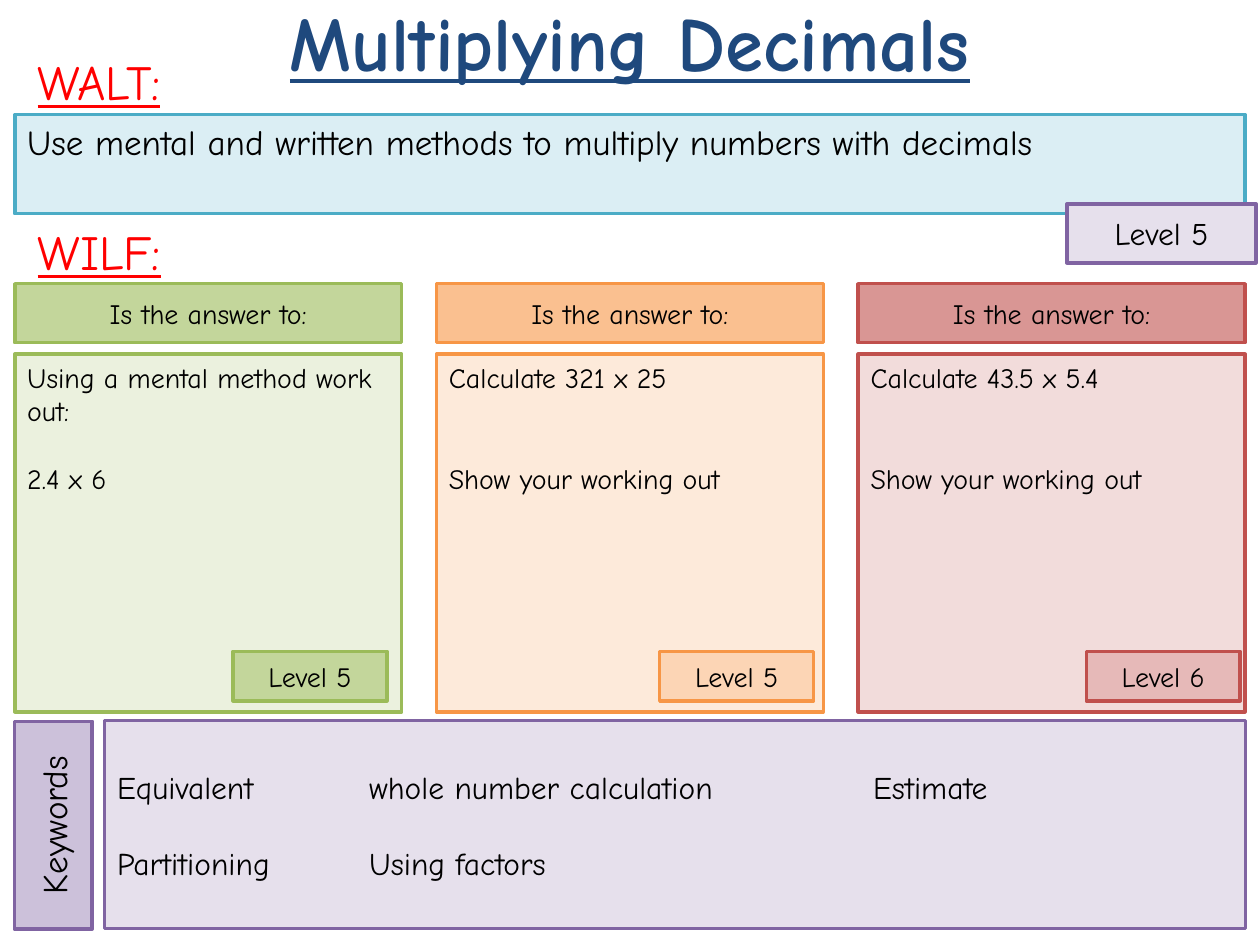
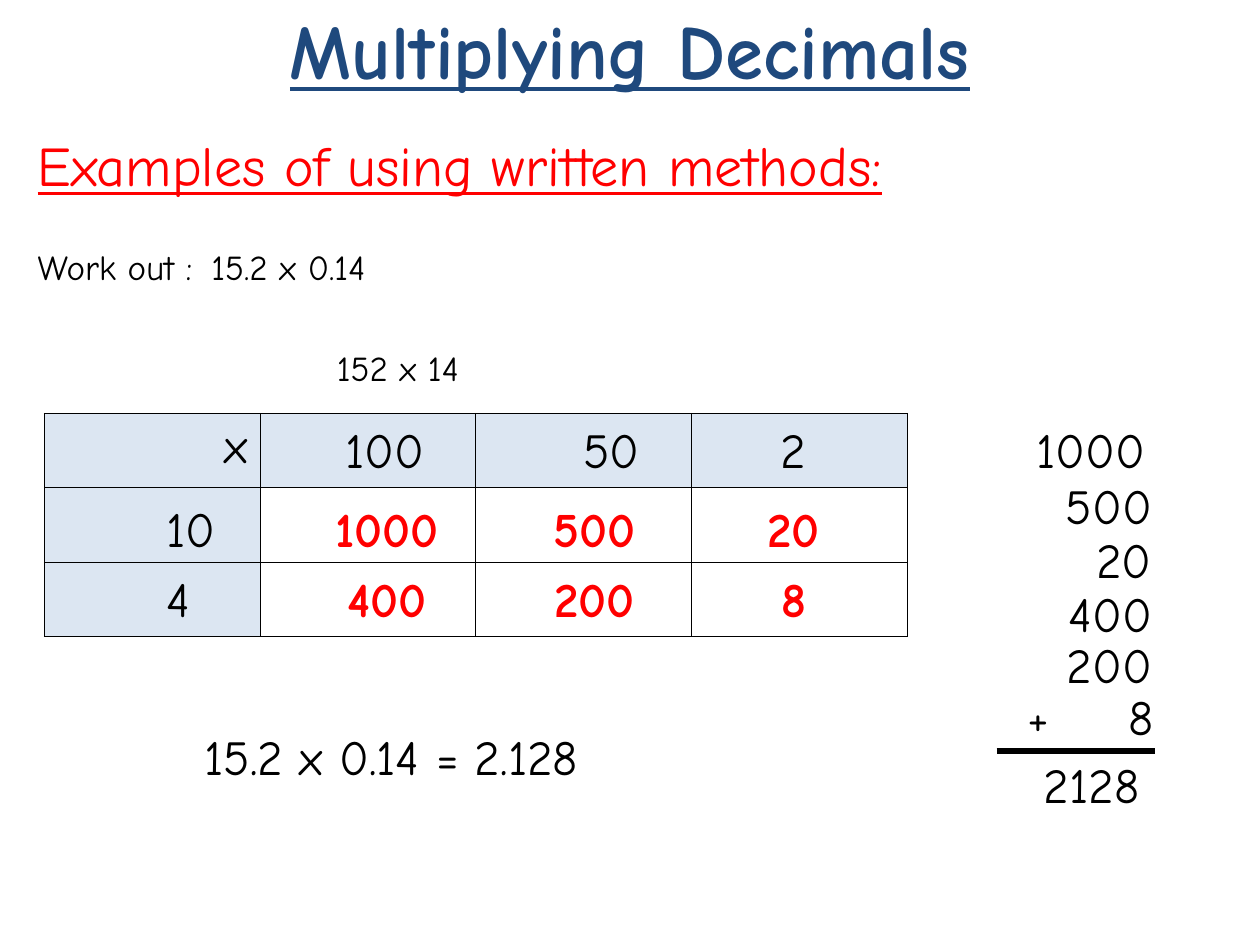
from dataclasses import dataclass, replace

from lxml import etree
from pptx import Presentation
from pptx.dml.color import RGBColor
from pptx.enum.shapes import MSO_CONNECTOR, MSO_SHAPE
from pptx.enum.text import MSO_ANCHOR, PP_ALIGN
from pptx.oxml.ns import qn
from pptx.util import Cm, Pt

LEFT, CENTER, RIGHT = PP_ALIGN.LEFT, PP_ALIGN.CENTER, PP_ALIGN.RIGHT
TOP, MIDDLE = MSO_ANCHOR.TOP, MSO_ANCHOR.MIDDLE
RECTANGLE, STRAIGHT = MSO_SHAPE.RECTANGLE, MSO_CONNECTOR.STRAIGHT

FONT = "Comic Neue"
BLACK, RED, NAVY = "000000", "FF0000", "1F497D"
PURPLE, PALE_PURPLE, MID_PURPLE = "8064A2", "E6E0EC", "CCC1DA"
TEAL, PALE_TEAL, PALE_BLUE = "4BACC6", "DBEEF4", "DCE6F2"


@dataclass(frozen=True)
class Box:
    left: float
    top: float
    width: float
    height: float


@dataclass(frozen=True)
class Line:
    text: str
    size: float
    color: str = BLACK
    bold: bool = False
    underline: bool = False
    align: PP_ALIGN = LEFT
    gap: float = 0
    spacing: float = 1
    indent: float = 0
    tabs: tuple[float, ...] = ()


@dataclass(frozen=True)
class Question:
    line: str
    header_fill: str
    body_fill: str
    level_fill: str
    level: str
    task: str
    prompt: str
    gap: float


QUESTIONS = [
    Question("9BBB59", "C3D69B", "EBF1DE", "C3D69B", "Level 5",
             "Using a mental method work out:", "2.4 x 6", 19.2),
    Question("F79646", "FAC090", "FDEADA", "FCD5B5", "Level 5",
             "Calculate 321 x 25", "Show your working out", 38.4),
    Question("C0504D", "D99694", "F2DCDB", "E6B9B8", "Level 6",
             "Calculate 43.5 x 5.4", "Show your working out", 38.4),
]
TITLE_BOX = Box(0, -0.08, 25.4, 1.8)
TITLE = Line("Multiplying Decimals", 44, NAVY, True, True, CENTER)
NUMBER = Line("", 28)
NUMBER_HEIGHT = 1.45
GRID = Box(0.89, 8.33, 17.4, 4.5)
GRID_LABELS = [("100", 6.71, 8.33), ("50", 11.51, 8.33), ("2", 15.49, 8.33),
               ("10", 3.1, 9.93), ("4", 3.1, 11.33)]
PRODUCT_LEFTS = [6.3, 10.49, 14.5]
PRODUCT_ROWS = [(9.93, ("1000", "500", "20")), (11.33, ("400", "200", "8"))]
COLUMN_SUM = [("1000", 23.34, 8.33), ("500", 23.47, 9.47), ("20", 23.47, 10.54),
              ("400", 23.47, 11.63), ("200", 23.47, 12.67), ("2128", 23.22, 15.09)]


def rgb(color: str) -> RGBColor:
    return RGBColor.from_string(color)


def lengths(box: Box) -> tuple[Cm, Cm, Cm, Cm]:
    return Cm(box.left), Cm(box.top), Cm(box.width), Cm(box.height)


def write(text_frame, lines: list[Line], anchor: MSO_ANCHOR = TOP) -> None:
    text_frame.word_wrap = True
    text_frame.vertical_anchor = anchor
    text_frame.text = "\n".join(line.text for line in lines)
    for paragraph, line in zip(text_frame.paragraphs, lines):
        properties = paragraph._p.get_or_add_pPr()
        if line.indent:
            properties.set("marL", str(Cm(line.indent)))
        if line.tabs:
            tab_list = etree.SubElement(properties, qn("a:tabLst"))
            for position in line.tabs:
                etree.SubElement(tab_list, qn("a:tab"), pos=str(Cm(position)), algn="l")
        paragraph.alignment = line.align
        if line.gap:
            paragraph.space_before = Pt(line.gap)
        paragraph.line_spacing = line.spacing
        for run in paragraph.runs:
            run.font.name = FONT
            run.font.size = Pt(line.size)
            run.font.bold = line.bold
            run.font.underline = line.underline
            run.font.color.rgb = rgb(line.color)


def add_text(slide, box: Box, *lines: Line, anchor: MSO_ANCHOR = TOP) -> None:
    write(slide.shapes.add_textbox(*lengths(box)).text_frame, list(lines), anchor)


def add_panel(slide, box: Box, fill: str, border: str, *lines: Line,
              anchor: MSO_ANCHOR = MIDDLE, rotation: float = 0) -> None:
    shape = slide.shapes.add_shape(RECTANGLE, *lengths(box))
    shape.shadow.inherit = False
    shape.rotation = rotation
    shape.fill.solid()
    shape.fill.fore_color.rgb = rgb(fill)
    shape.line.color.rgb = rgb(border)
    shape.line.width = Pt(2)
    write(shape.text_frame, list(lines), anchor)


def add_question(slide, index: int, question: Question) -> None:
    left = 0.3 + 8.5 * index
    add_panel(slide, Box(left, 5.72, 7.8, 1.19), question.header_fill, question.line,
              Line("Is the answer to:", 16, align=CENTER))
    add_panel(slide, Box(left, 7.14, 7.8, 7.21), question.body_fill, question.line,
              Line(question.task, 16), Line(question.prompt, 16, gap=question.gap),
              anchor=TOP)
    add_panel(slide, Box(4.7 + 8.6 * index, 13.13, 3.1, 1), question.level_fill,
              question.line, Line(question.level, 16, align=CENTER))


def add_cell_borders(cell) -> None:
    properties = cell._tc.get_or_add_tcPr()
    for position, side in enumerate(("a:lnL", "a:lnR", "a:lnT", "a:lnB")):
        border = etree.Element(qn(side), w=str(Pt(0.45)))
        fill = etree.SubElement(border, qn("a:solidFill"))
        etree.SubElement(fill, qn("a:srgbClr"), val=BLACK)
        properties.insert(position, border)


def add_grid(slide) -> None:
    table = slide.shapes.add_table(3, 4, *lengths(GRID)).table
    for column in table.columns:
        column.width = Cm(GRID.width / 4)
    for row_index, row in enumerate(table.rows):
        row.height = Cm(GRID.height / 3)
        for column_index, cell in enumerate(row.cells):
            if row_index == 0 or column_index == 0:
                cell.fill.solid()
                cell.fill.fore_color.rgb = rgb(PALE_BLUE)
            else:
                cell.fill.background()
            add_cell_borders(cell)
    write(table.cell(0, 0).text_frame, [replace(NUMBER, text="x", align=RIGHT)])


def add_number(slide, text: str, left: float, top: float, width: float, **style) -> None:
    add_text(slide, Box(left, top, width, NUMBER_HEIGHT),
             replace(NUMBER, text=text, **style))


def build_objectives(slide) -> None:
    add_text(slide, TITLE_BOX, TITLE, anchor=MIDDLE)
    heading = Line("WALT:", 28, RED, underline=True)
    add_text(slide, Box(0.51, 0.91, 24.2, 17.2), heading,
             replace(heading, text="WILF:", gap=63.5))
    add_panel(slide, Box(0.3, 2.31, 24.8, 2), PALE_TEAL, TEAL,
              Line("Use mental and written methods to multiply numbers with decimals", 20),
              anchor=TOP)
    add_panel(slide, Box(21.51, 4.11, 3.81, 1.19), PALE_PURPLE, PURPLE,
              Line("Level 5", 18, align=CENTER))
    for index, question in enumerate(QUESTIONS):
        add_question(slide, index, question)
    keyword_tabs = (5.08, 15.24)
    add_panel(slide, Box(2.11, 14.53, 23, 4.19), PALE_PURPLE, PURPLE,
              Line("Equivalent\twhole number calculation\tEstimate", 18, tabs=keyword_tabs),
              Line("Partitioning\tUsing factors", 18, gap=21.6, tabs=keyword_tabs))
    add_panel(slide, Box(-1.02, 15.85, 4.19, 1.57), MID_PURPLE, PURPLE,
              Line("Keywords", 20, align=CENTER), rotation=270)


def build_example(slide) -> None:
    add_text(slide, Box(0.51, 2.51, 24.2, 16),
             Line("Examples of using written methods:", 32, RED, underline=True),
             Line("Work out :\t15.2 x 0.14", 20, gap=15.2, spacing=1.5, tabs=(3.5,)),
             Line("152 x 14", 20, gap=34, indent=6.03))
    add_grid(slide)
    for text, left, top in GRID_LABELS:
        add_number(slide, text, left, top, 2.4)
    for top, products in PRODUCT_ROWS:
        for left, product in zip(PRODUCT_LEFTS, products):
            add_number(slide, product, left, top, 3, color=RED, bold=True, align=CENTER)
    for text, right, top in COLUMN_SUM:
        add_number(slide, text, right - 3.4, top, 3.4, align=RIGHT)
    add_number(slide, "+\t8", 20.47, 13.72, 3.4, tabs=(2.03,))
    sum_line = slide.shapes.add_connector(STRAIGHT, Cm(20.09), Cm(15.14), Cm(23.29), Cm(15.14))
    sum_line.line.color.rgb = rgb(BLACK)
    sum_line.line.width = Pt(3)
    etree.SubElement(sum_line._element.spPr, qn("a:effectLst"))
    add_number(slide, "15.2 x 0.14 = 2.128", 2.49, 14.53, 10.8, align=CENTER)
    add_text(slide, TITLE_BOX, TITLE)


def main() -> None:
    presentation = Presentation()
    presentation.slide_width, presentation.slide_height = Cm(25.4), Cm(19.05)
    for build in (build_objectives, build_example):
        build(presentation.slides.add_slide(presentation.slide_layouts[6]))
    presentation.save("out.pptx")


if __name__ == "__main__":
    main()
